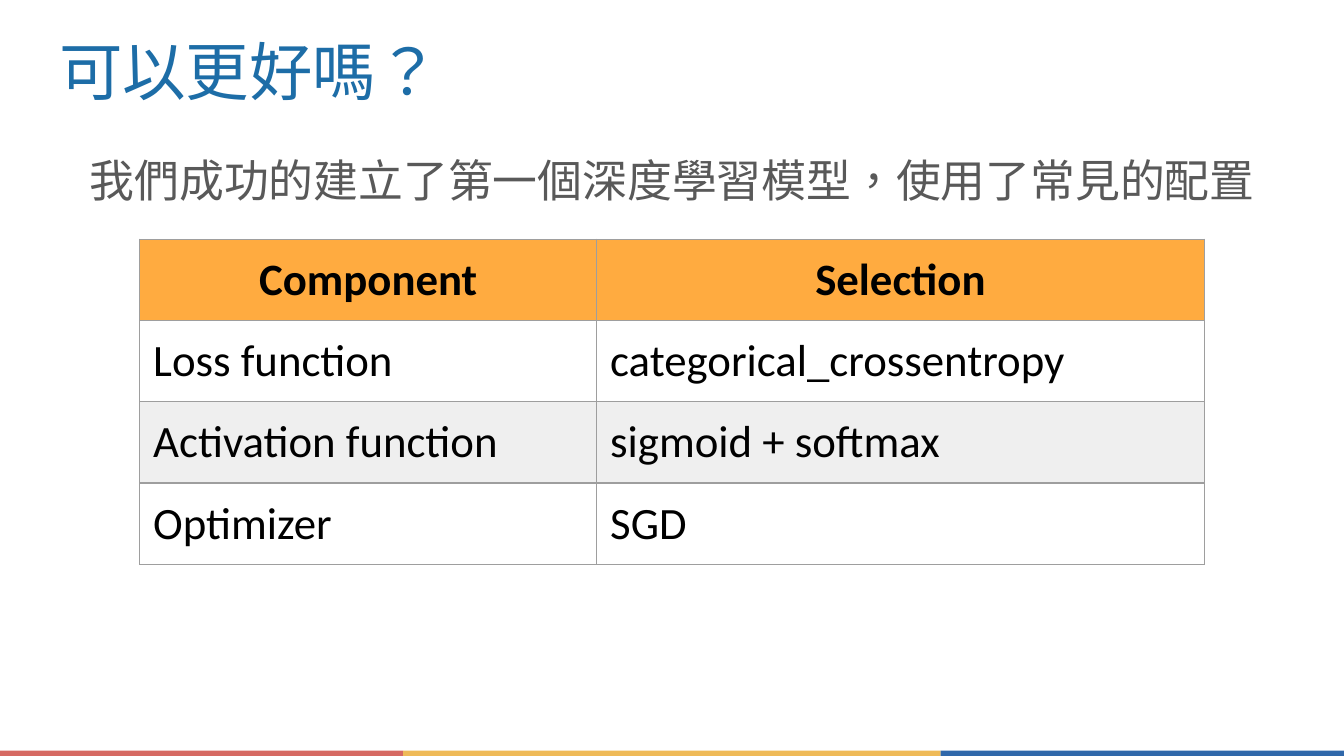
from lxml import etree
from pptx import Presentation
from pptx.dml.color import RGBColor
from pptx.enum.lang import MSO_LANGUAGE_ID
from pptx.enum.shapes import MSO_SHAPE
from pptx.enum.text import MSO_ANCHOR, MSO_AUTO_SIZE, PP_ALIGN
from pptx.oxml.ns import qn
from pptx.util import Inches, Pt

RECTANGLE = MSO_SHAPE.RECTANGLE
MIDDLE, TOP = MSO_ANCHOR.MIDDLE, MSO_ANCHOR.TOP
LEFT, CENTER = PP_ALIGN.LEFT, PP_ALIGN.CENTER
NO_AUTOFIT = MSO_AUTO_SIZE.NONE
ENGLISH = MSO_LANGUAGE_ID.ENGLISH_US
CHINESE = MSO_LANGUAGE_ID.TRADITIONAL_CHINESE

FONT = "Calibri"
TITLE_ONLY = 5
SLIDE_WIDTH = 10
SLIDE_HEIGHT = SLIDE_WIDTH * 9 / 16
MARGIN, PADDING = 0.34, 0.1
CONTENT_WIDTH = SLIDE_WIDTH - 2 * MARGIN
STRIPE_HEIGHT = 0.04
STRIPES = [("D66962", 3), ("EFBA57", 4), ("3068AA", 3)]
CONFIGURATION = [
    ("Component", "Selection"),
    ("Loss function", "categorical_crossentropy"),
    ("Activation function", "sigmoid + softmax"),
    ("Optimizer", "SGD"),
]
ROW_FILLS = ["FFAB40", None, "EFEFEF", None]
COLUMN_WIDTHS = [3.4, 4.52]


def rgb(value):
    """Turn a hex string into a colour."""
    return RGBColor.from_string(value)


def write_text(frame, text, size=24, color="000000", bold=False, align=LEFT,
               line_spacing=None, space_after=None, language=ENGLISH):
    """Write one formatted paragraph into a text frame."""
    frame.word_wrap = True
    paragraph = frame.paragraphs[0]
    paragraph.alignment = align
    paragraph.line_spacing = line_spacing
    paragraph.space_after = space_after
    run = paragraph.add_run()
    run.text = text
    run.font.name = FONT
    run.font.size = Pt(size)
    run.font.bold = bold
    run.font.color.rgb = rgb(color)
    run.font.language_id = language


def pad(box):
    """Give a cell or text frame equal inner margins."""
    box.margin_left = box.margin_right = Inches(PADDING)
    box.margin_top = box.margin_bottom = Inches(PADDING)


def add_stripes(slide, left, top, width, height):
    """Draw the coloured footer band, shared out by weight."""
    unit = width / sum(weight for _, weight in STRIPES)
    for color, weight in STRIPES:
        stripe = slide.shapes.add_shape(
            RECTANGLE, Inches(left), Inches(top), Inches(weight * unit), Inches(height))
        stripe.shadow.inherit = False
        stripe.fill.solid()
        stripe.fill.fore_color.rgb = rgb(color)
        stripe.line.fill.background()
        left += weight * unit


def place_title(slide, left, top, width, height):
    """Move the title placeholder and write the heading."""
    title = slide.shapes.title
    title.left, title.top = Inches(left), Inches(top)
    title.width, title.height = Inches(width), Inches(height)
    frame = title.text_frame
    frame.auto_size = NO_AUTOFIT
    frame.vertical_anchor = MIDDLE
    pad(frame)
    write_text(frame, "可以更好嗎？", size=34, color="1D6DA7", language=CHINESE)


def add_summary(slide, left, top, width, height):
    """Add the sentence that introduces the table."""
    summary = slide.shapes.add_textbox(
        Inches(left), Inches(top), Inches(width), Inches(height))
    pad(summary.text_frame)
    write_text(summary.text_frame, "我們成功的建立了第一個深度學習模型，使用了常見的配置",
               color="595959", align=CENTER, line_spacing=1.15, space_after=Pt(16),
               language=CHINESE)


def add_borders(cell, color, width):
    """Draw a line on all four sides of a cell."""
    properties = cell._tc.get_or_add_tcPr()
    for side in ("a:lnL", "a:lnR", "a:lnT", "a:lnB"):
        border = etree.SubElement(properties, qn(side), w=str(Pt(width)))
        fill = etree.SubElement(border, qn("a:solidFill"))
        etree.SubElement(fill, qn("a:srgbClr"), val=color)


def add_configuration_table(slide, left, top, width, height):
    """Add the table of model components and selections."""
    table = slide.shapes.add_table(
        len(CONFIGURATION), len(COLUMN_WIDTHS),
        Inches(left), Inches(top), Inches(width), Inches(height)).table
    table.horz_banding = False
    for column, column_width in zip(table.columns, COLUMN_WIDTHS):
        column.width = Inches(column_width)
    for row_index, (texts, fill) in enumerate(zip(CONFIGURATION, ROW_FILLS)):
        header = row_index == 0
        for column_index, text in enumerate(texts):
            cell = table.cell(row_index, column_index)
            pad(cell)
            cell.vertical_anchor = TOP if header else MIDDLE
            add_borders(cell, "9E9E9E", 0.75)
            if fill:
                cell.fill.solid()
                cell.fill.fore_color.rgb = rgb(fill)
            else:
                cell.fill.background()
            write_text(cell.text_frame, text, bold=header,
                       align=CENTER if header else LEFT)


def main():
    """Build and save the slide."""
    presentation = Presentation()
    presentation.slide_width = Inches(SLIDE_WIDTH)
    presentation.slide_height = Inches(SLIDE_HEIGHT)
    slide = presentation.slides.add_slide(presentation.slide_layouts[TITLE_ONLY])
    add_stripes(slide, 0, SLIDE_HEIGHT - STRIPE_HEIGHT, SLIDE_WIDTH, STRIPE_HEIGHT)
    place_title(slide, MARGIN, 0.2, CONTENT_WIDTH, 0.64)
    add_summary(slide, MARGIN, 0.98, CONTENT_WIDTH, 0.73)
    add_configuration_table(slide, 1.04, 1.78, sum(COLUMN_WIDTHS), 2.42)
    presentation.save("out.pptx")


if __name__ == "__main__":
    main()
